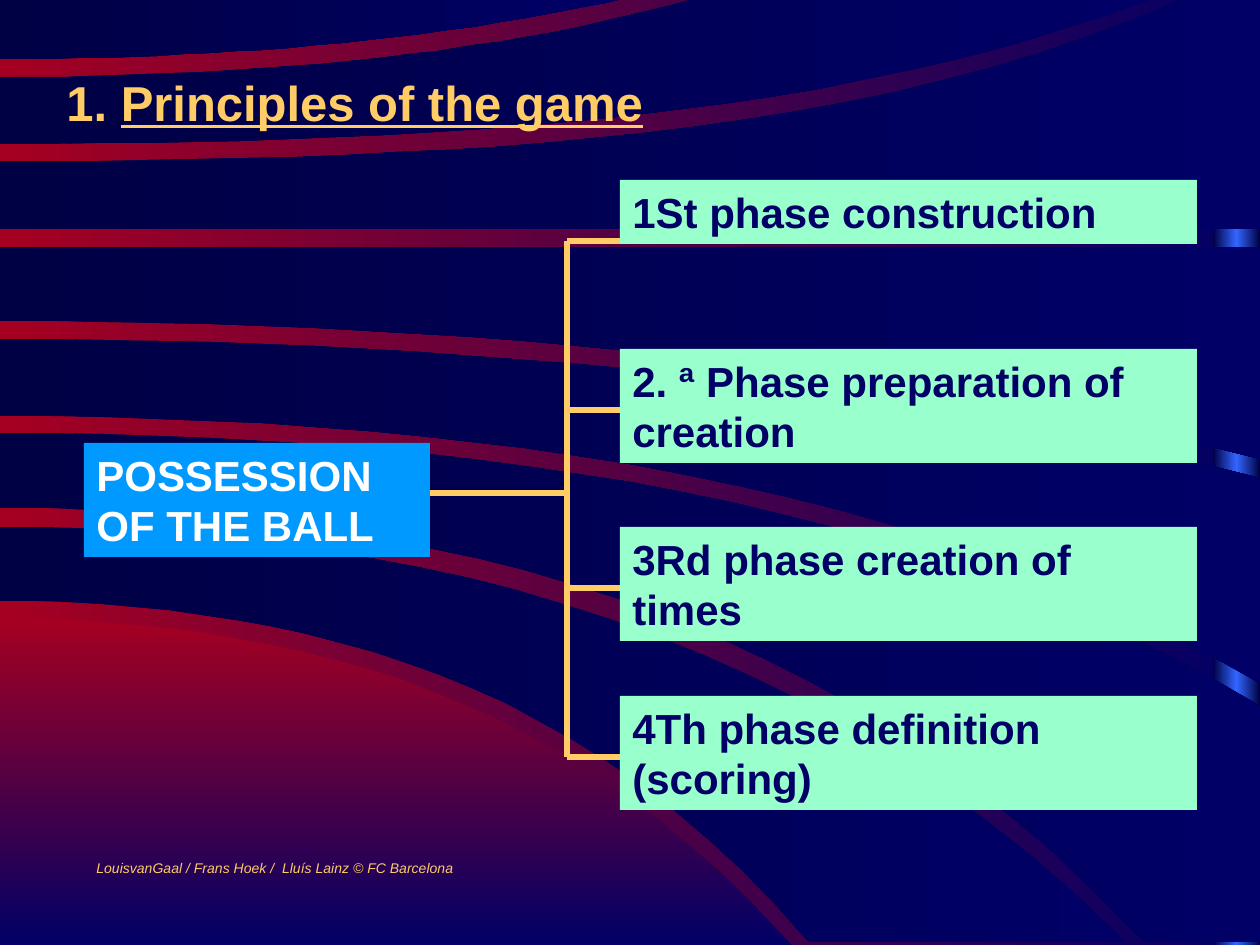
import collections
import copy

import pptx
import pptx.dml.color
import pptx.enum.shapes
import pptx.enum.text
import pptx.oxml.ns
import pptx.util
from lxml import etree

PX = 914400 / 126
RED = pptx.dml.color.RGBColor(0xA5, 0x00, 0x21)
NAVY = pptx.dml.color.RGBColor(0x00, 0x00, 0x66)
MIDNIGHT = pptx.dml.color.RGBColor(0x00, 0x00, 0x44)
BLUE = pptx.dml.color.RGBColor(0x33, 0x66, 0xFF)
SKY = pptx.dml.color.RGBColor(0x00, 0x99, 0xFF)
MINT = pptx.dml.color.RGBColor(0x99, 0xFF, 0xCC)
GOLD = pptx.dml.color.RGBColor(0xFF, 0xCC, 0x66)
WHITE = pptx.dml.color.RGBColor(0xFF, 0xFF, 0xFF)

STEPS = 24
Edge = collections.namedtuple("Edge", "start_y end_x end_y bend", defaults=[1])
HILL = (Edge(619, 791, 945, 0.64), Edge(945, 791, 945))
WAVES = [
    (Edge(527, 1125, 942, 0.65), Edge(601, 809, 942, 0.62)),
    (Edge(433, 1260, 706, 0.63), Edge(508, 1145, 942, 0.6), (1260, 942)),
    (Edge(339, 1260, 478, 0.82), Edge(416, 1260, 683, 0.63)),
    (Edge(247, 1260, 247), Edge(321, 1260, 459, 0.82)),
    (Edge(161, 1188, -3, 0.4), Edge(229, 1260, 229), (1260, -3)),
    (Edge(77, 701, -3, 0.75), Edge(144, 1155, -3, 0.5)),
    (Edge(-3, 631, -3), Edge(59, 631, -3, 0.84)),
]
PHASES = [
    ("1St phase construction", 0, 64),
    ("2. ª Phase preparation of creation", 169, 114),
    ("3Rd phase creation of times", 347, 114),
    ("4Th phase definition (scoring)", 516, 114),
]


def emu(*lengths):
    """Turn px lengths into EMU."""
    return [pptx.util.Emu(round(length * PX)) for length in lengths]


def fill_gradient(fill, start, end, angle=0):
    """Give a fill a two-colour linear gradient."""
    fill.gradient()
    fill.gradient_angle = angle
    for stop, color in zip(fill.gradient_stops, (start, end)):
        stop.color.rgb = color


def add_text(frame, text, size, color, bold=False, italic=False, underline=False, wrap=True):
    """Append a formatted run to the first paragraph of a text frame."""
    frame.word_wrap = wrap
    frame.vertical_anchor = pptx.enum.text.MSO_ANCHOR.TOP
    paragraph = frame.paragraphs[0]
    paragraph.alignment = pptx.enum.text.PP_ALIGN.LEFT
    run = paragraph.add_run()
    run.text = text
    run.font.name = "Arial"
    run.font.size = pptx.util.Pt(size)
    run.font.color.rgb = color
    run.font.bold = bold
    run.font.italic = italic
    run.font.underline = underline


def add_rectangle(slide, box):
    """Add a plain rectangle without outline or shadow."""
    shape = slide.shapes.add_shape(pptx.enum.shapes.MSO_SHAPE.RECTANGLE, *emu(*box))
    shape.shadow.inherit = False
    shape.line.fill.background()
    return shape


def add_label(slide, box, text, background, color):
    """Add a filled rectangle with bold text."""
    shape = add_rectangle(slide, box)
    shape.fill.solid()
    shape.fill.fore_color.rgb = background
    add_text(shape.text_frame, text, size=24, color=color, bold=True)


def add_line(slide, *ends):
    """Add a straight gold line between two points."""
    line = slide.shapes.add_connector(pptx.enum.shapes.MSO_CONNECTOR.STRAIGHT, *emu(*ends))
    line.line.color.rgb = GOLD
    line.line.width = pptx.util.Pt(3)
    etree.SubElement(line._element.spPr, pptx.oxml.ns.qn("a:effectLst"))


def trace_edge(edge):
    """Return points along a curve that leaves the left side level and steepens."""
    points = []
    for step in range(STEPS + 1):
        part = step / STEPS
        rise = edge.bend * part ** 2 + (1 - edge.bend) * part ** 4
        points.append((round(edge.end_x * part),
                       round(edge.start_y + (edge.end_y - edge.start_y) * rise)))
    return points


def add_wave(slide, box, upper, lower, *corners, start=MIDNIGHT, end=NAVY, angle=0):
    """Add a gradient-filled area between two curved edges."""
    points = trace_edge(upper) + list(corners) + trace_edge(lower)[::-1]
    builder = slide.shapes.build_freeform(*points[0], scale=PX)
    builder.add_line_segments(points[1:], close=True)
    shape = builder.convert_to_shape(*emu(*box[:2]))
    shape.shadow.inherit = False
    shape.line.fill.background()
    fill_gradient(shape.fill, start, end, angle)


def add_backdrop(slide, box):
    """Draw the gradient background, side band, hill and waves."""
    left, top, width, height = box
    fill_gradient(slide.background.fill, RED, NAVY)
    band = add_rectangle(slide, (left + width - 47, top, 47, height))
    fill_gradient(band.fill, MIDNIGHT, MIDNIGHT)
    stops = band._element.spPr.find(".//" + pptx.oxml.ns.qn("a:gsLst"))
    middle = copy.deepcopy(stops[0])
    middle.set("pos", "50000")
    stops.insert(1, middle)
    band.fill.gradient_stops[1].color.rgb = BLUE
    add_wave(slide, box, *HILL, start=RED, angle=270)
    for wave in WAVES:
        add_wave(slide, box, *wave)


def add_title(slide, box):
    """Write the numbered, underlined title."""
    frame = slide.shapes.add_textbox(*emu(*box)).text_frame
    add_text(frame, "1. ", size=28, color=GOLD, bold=True)
    add_text(frame, "Principles of the game", size=28, color=GOLD, bold=True, underline=True)


def add_phase_tree(slide, box):
    """Draw the root label, the bracket and the four phases."""
    left, top, width, height = box
    root_width, phase_width, branch_drop = 346, 577, 61
    trunk = left + 483
    phase_left = left + width - phase_width
    add_label(slide, (left, top + 263, root_width, 114), "POSSESSION OF THE BALL", SKY, WHITE)
    add_line(slide, left + root_width, top + 313, trunk, top + 313)
    branches = [top + offset + branch_drop for text, offset, size in PHASES]
    for branch in branches:
        add_line(slide, trunk, branch, phase_left, branch)
    add_line(slide, trunk, branches[0], trunk, branches[-1])
    for text, offset, size in PHASES:
        add_label(slide, (phase_left, top + offset, phase_width, size), text, MINT, NAVY)


def add_credit(slide, box):
    """Write the copyright line."""
    frame = slide.shapes.add_textbox(*emu(*box)).text_frame
    add_text(frame, "LouisvanGaal / Frans Hoek /  Lluís Lainz © FC Barcelona",
             size=8, color=GOLD, italic=True, wrap=False)


def main():
    """Build and save the presentation."""
    presentation = pptx.Presentation()
    presentation.slide_width, presentation.slide_height = emu(1260, 945)
    slide = presentation.slides.add_slide(presentation.slide_layouts[6])
    add_backdrop(slide, (0, 0, 1260, 945))
    add_phase_tree(slide, (84, 180, 1113, 630))
    add_credit(slide, (84, 853, 383, 31))
    add_title(slide, (54, 66, 714, 72))
    presentation.save("out.pptx")


if __name__ == "__main__":
    main()
